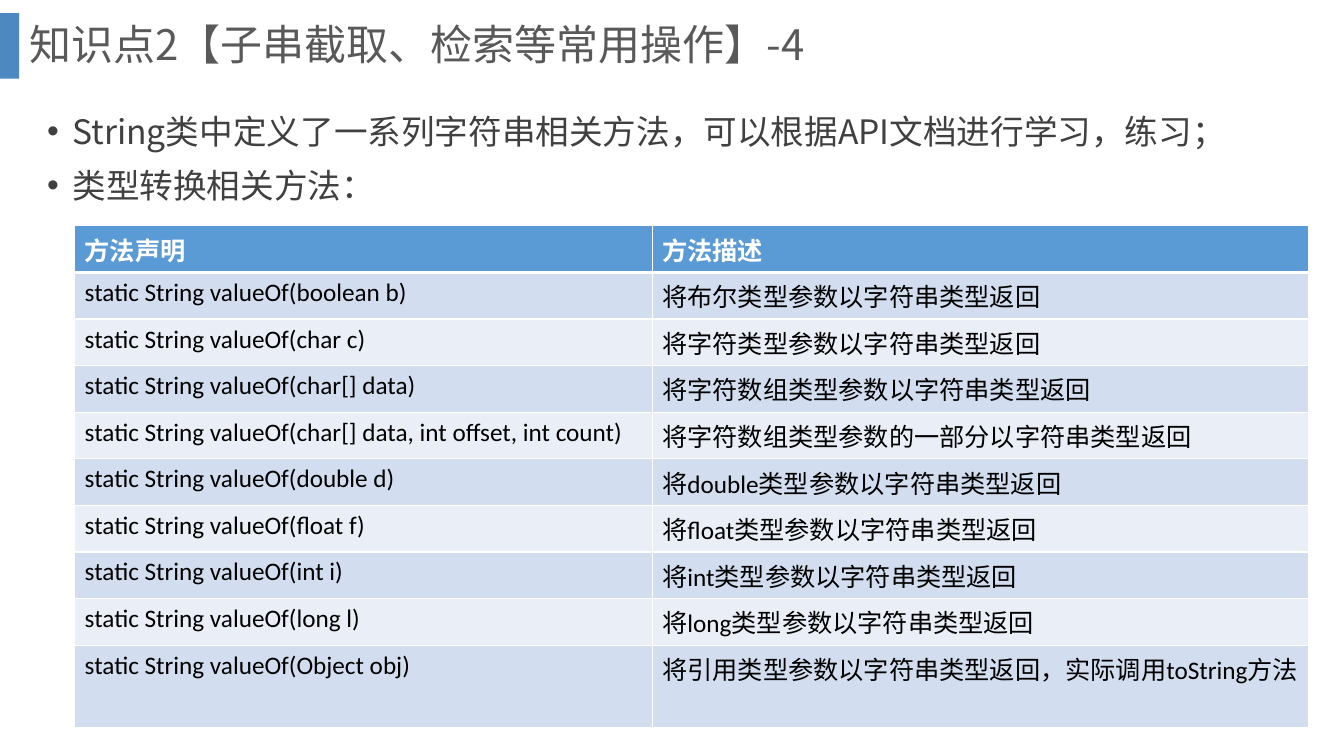
import pptx
import pptx.dml.color
import pptx.enum.shapes
import pptx.enum.text
import pptx.oxml.ns
import pptx.util
from lxml import etree

HEADING_FONT = "Noto Sans CJK SC"
TABLE_FONT = "Calibri"
BULLETS = [
    ("String类中定义了一系列字符串相关方法，可以根据API文档进行学习，练习；", 1.5, 0),
    ("类型转换相关方法：", 1.0, 10),
]
METHODS = [
    ("方法声明", "方法描述"),
    ("static String valueOf(boolean b)", "将布尔类型参数以字符串类型返回"),
    ("static String valueOf(char c)", "将字符类型参数以字符串类型返回"),
    ("static String valueOf(char[] data)", "将字符数组类型参数以字符串类型返回"),
    ("static String valueOf(char[] data, int offset, int count)",
     "将字符数组类型参数的一部分以字符串类型返回"),
    ("static String valueOf(double d)", "将double类型参数以字符串类型返回"),
    ("static String valueOf(float f)", "将float类型参数以字符串类型返回"),
    ("static String valueOf(int i)", "将int类型参数以字符串类型返回"),
    ("static String valueOf(long l)", "将long类型参数以字符串类型返回"),
    ("static String valueOf(Object obj)", "将引用类型参数以字符串类型返回，实际调用toString方法"),
]


def color(hex_value):
    return pptx.dml.color.RGBColor.from_string(hex_value)


def inches(*lengths):
    return [pptx.util.Inches(length) for length in lengths]


def add_child(parent, tag, **attributes):
    return etree.SubElement(parent, pptx.oxml.ns.qn(tag), attributes)


def add_run(paragraph, text, size, font, hex_value, bold=False):
    run = paragraph.add_run()
    run.text = text
    run.font.size = pptx.util.Pt(size)
    run.font.name = font
    run.font.bold = bold
    run.font.color.rgb = color(hex_value)
    add_child(run.font._element, "a:ea", typeface=HEADING_FONT)


def add_title(slide, left, top, width, height):
    bar_width = 0.19
    bar = slide.shapes.add_shape(
        pptx.enum.shapes.MSO_SHAPE.RECTANGLE,
        *inches(left, top + height * 0.14, bar_width, height * 0.7))
    bar.shadow.inherit = False
    bar.fill.solid()
    bar.fill.fore_color.rgb = color("2E75B6")
    bar_color = bar._element.spPr.find(".//" + pptx.oxml.ns.qn("a:srgbClr"))
    add_child(bar_color, "a:alpha", val="85000")
    bar.line.fill.background()

    heading = slide.shapes.add_textbox(
        *inches(left + bar_width, top, width - bar_width, height)).text_frame
    heading.word_wrap = True
    heading.vertical_anchor = pptx.enum.text.MSO_ANCHOR.MIDDLE
    heading.paragraphs[0].line_spacing = 0.9
    add_run(heading.paragraphs[0], "知识点2【子串截取、检索等常用操作】-4", 30, HEADING_FONT, "595959")


def add_bullets(slide, left, top, width, height):
    body = slide.shapes.add_textbox(*inches(left, top, width, height)).text_frame
    body.word_wrap = True
    for index, (text, spacing, gap) in enumerate(BULLETS):
        point = body.add_paragraph() if index else body.paragraphs[0]
        point.line_spacing = spacing
        point.space_before = pptx.util.Pt(gap)
        indent = pptx.util.Inches(0.25)
        properties = point._p.get_or_add_pPr()
        properties.set("marL", str(indent))
        properties.set("indent", str(-indent))
        add_child(properties, "a:buFont", typeface="Arial")
        add_child(properties, "a:buChar", char="•")
        add_run(point, text, 24, HEADING_FONT, "404040")


def add_borders(cell, top, bottom):
    properties = cell._tc.get_or_add_tcPr()
    for tag, points in (("a:lnL", 1), ("a:lnR", 1), ("a:lnT", top), ("a:lnB", bottom)):
        border = add_child(properties, tag, w=str(pptx.util.Pt(points)))
        add_child(add_child(border, "a:solidFill"), "a:srgbClr", val="FFFFFF")


def add_methods(slide, left, top, width, height):
    table = slide.shapes.add_table(
        len(METHODS), 2, *inches(left, top, width, height)).table
    for column, share in zip(table.columns, (0.468, 0.532)):
        column.width = pptx.util.Inches(width * share)
    last = len(METHODS) - 1
    wrapped_height = height * 0.164
    for row, texts in enumerate(METHODS):
        table.rows[row].height = pptx.util.Inches(
            wrapped_height if row == last else (height - wrapped_height) / last)
        is_header = row == 0
        band = "5B9BD5" if is_header else ("EAEFF7", "D2DEEF")[row % 2]
        for column, text in enumerate(texts):
            cell = table.cell(row, column)
            add_borders(cell, 3 if row == 1 else 1, 3 if is_header else 1)
            cell.fill.solid()
            cell.fill.fore_color.rgb = color(band)
            add_run(cell.text_frame.paragraphs[0], text, 18, TABLE_FONT,
                    "FFFFFF" if is_header else "000000", is_header)


def main():
    deck = pptx.Presentation()
    deck.slide_width, deck.slide_height = inches(13.33, 7.5)
    slide = deck.slides.add_slide(deck.slide_layouts[6])
    add_title(slide, 0, 0, 12.85, 0.93)
    add_bullets(slide, 0.37, 0.85, 12.05, 1.37)
    add_methods(slide, 0.74, 2.24, 12.24, 4.98)
    deck.save("out.pptx")


if __name__ == "__main__":
    main()
